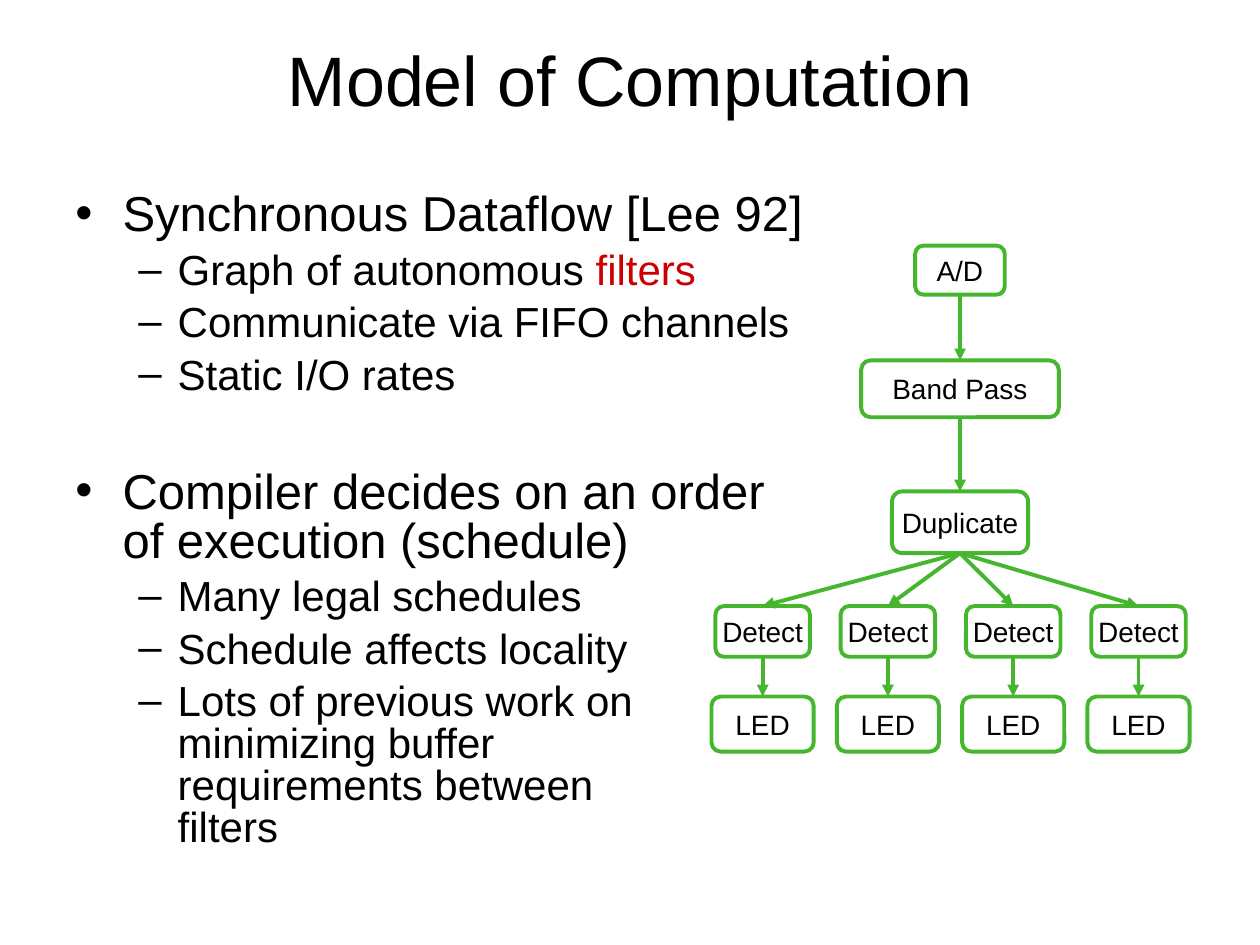
from dataclasses import dataclass

from lxml.etree import SubElement
from pptx import Presentation
from pptx.dml.color import RGBColor
from pptx.enum.shapes import MSO_CONNECTOR as Connector, MSO_SHAPE as Shape
from pptx.enum.text import MSO_ANCHOR as Anchor, PP_ALIGN as Align
from pptx.oxml.ns import qn
from pptx.util import Pt

FONT = "Arial"
COLORS = {"text": "000000", "accent": "CC0000", "graph": "45B62E"}
LINE_WIDTH = 2.25
BOTTOM, TOP = 2, 0


@dataclass(frozen=True)
class Level:
    bullet: str
    size: float
    margin: float
    hanging: float
    space_before: float


LEVELS = (Level("•", 28, 27, 27, 7), Level("–", 24, 58.5, 22.5, 6))


@dataclass(frozen=True)
class Item:
    level: int
    text: str
    accent: str = ""
    extra_space: float = 0


ITEMS = (
    Item(0, "Synchronous Dataflow [Lee 92]"),
    Item(1, "Graph of autonomous ", accent="filters"),
    Item(1, "Communicate via FIFO channels"),
    Item(1, "Static I/O rates"),
    Item(0, "Compiler decides on an order\vof execution (schedule)", extra_space=34),
    Item(1, "Many legal schedules"),
    Item(1, "Schedule affects locality"),
    Item(1, "Lots of previous work on\vminimizing buffer\vrequirements between\vfilters"),
)


@dataclass(frozen=True)
class Node:
    label: str
    center: float
    top: float
    width: float
    height: float


SPINE = 548.6
CHAIN = (
    Node("A/D", SPINE, 140.4, 51.2, 28),
    Node("Band Pass", SPINE, 205.9, 113, 32.5),
    Node("Duplicate", SPINE, 280.8, 77.8, 35.3),
)
BRANCH_COUNT, FIRST_BRANCH, BRANCH_PITCH = 4, 435.8, 71.6


def rgb(name: str) -> RGBColor:
    return RGBColor.from_string(COLORS[name])


def format_run(run, size: float, color: str = "text") -> None:
    run.font.name = FONT
    run.font.size = Pt(size)
    run.font.color.rgb = rgb(color)


def add_bullet(paragraph, level: Level) -> None:
    properties = paragraph._p.get_or_add_pPr()
    properties.set("marL", str(Pt(level.margin)))
    properties.set("indent", str(-Pt(level.hanging)))
    bullet_color = SubElement(properties, qn("a:buClr"))
    SubElement(bullet_color, qn("a:srgbClr"), val=COLORS["text"])
    SubElement(properties, qn("a:buFont"), typeface=FONT)
    SubElement(properties, qn("a:buChar"), char=level.bullet)


def add_title(slide, text: str) -> None:
    frame = slide.shapes.add_textbox(Pt(36), Pt(0), Pt(648), Pt(90)).text_frame
    frame.word_wrap = True
    frame.vertical_anchor = Anchor.MIDDLE
    frame.text = text
    heading = frame.paragraphs[0]
    heading.alignment = Align.CENTER
    format_run(heading.runs[0], 40)


def add_outline(slide, items: tuple[Item, ...]) -> None:
    frame = slide.shapes.add_textbox(Pt(36), Pt(106.6), Pt(648), Pt(396.7)).text_frame
    frame.word_wrap = True
    for index, item in enumerate(items):
        level = LEVELS[item.level]
        paragraph = frame.add_paragraph() if index else frame.paragraphs[0]
        paragraph.text = item.text
        paragraph.level = item.level
        paragraph.line_spacing = 0.83
        paragraph.space_before = Pt(level.space_before + item.extra_space)
        add_bullet(paragraph, level)
        for run in paragraph.runs:
            format_run(run, level.size)
        if item.accent:
            accent = paragraph.add_run()
            accent.text = item.accent
            format_run(accent, level.size, "accent")


def add_node(slide, node: Node):
    box = slide.shapes.add_shape(
        Shape.ROUNDED_RECTANGLE, Pt(node.center - node.width / 2), Pt(node.top),
        Pt(node.width), Pt(node.height))
    box.shadow.inherit = False
    box.fill.background()
    box.line.color.rgb = rgb("graph")
    box.line.width = Pt(LINE_WIDTH)
    frame = box.text_frame
    frame.word_wrap = False
    frame.vertical_anchor = Anchor.MIDDLE
    frame.text = node.label
    label = frame.paragraphs[0]
    label.alignment = Align.CENTER
    format_run(label.runs[0], 16)
    return box


def add_channel(slide, source, target) -> None:
    """Draw an arrow from the bottom of source to the top of target."""
    arrow = slide.shapes.add_connector(Connector.STRAIGHT, Pt(0), Pt(0), Pt(0), Pt(0))
    arrow.begin_connect(source, BOTTOM)
    arrow.end_connect(target, TOP)
    arrow.line.color.rgb = rgb("graph")
    arrow.line.width = Pt(LINE_WIDTH)
    SubElement(arrow.line._get_or_add_ln(), qn("a:tailEnd"), type="triangle")
    SubElement(arrow._element.spPr, qn("a:effectLst"))


def add_graph(slide) -> None:
    source, filter_box, splitter = [add_node(slide, node) for node in CHAIN]
    add_channel(slide, source, filter_box)
    add_channel(slide, filter_box, splitter)
    for branch in range(BRANCH_COUNT):
        center = FIRST_BRANCH + branch * BRANCH_PITCH
        detect = add_node(slide, Node("Detect", center, 346.3, 54, 29))
        led = add_node(slide, Node("LED", center, 398, 58.4, 31.5))
        add_channel(slide, splitter, detect)
        add_channel(slide, detect, led)


def main() -> None:
    deck = Presentation()
    deck.slide_width, deck.slide_height = Pt(720), Pt(540)
    slide = deck.slides.add_slide(deck.slide_layouts[6])
    add_title(slide, "Model of Computation")
    add_outline(slide, ITEMS)
    add_graph(slide)
    deck.save("out.pptx")


if __name__ == "__main__":
    main()
